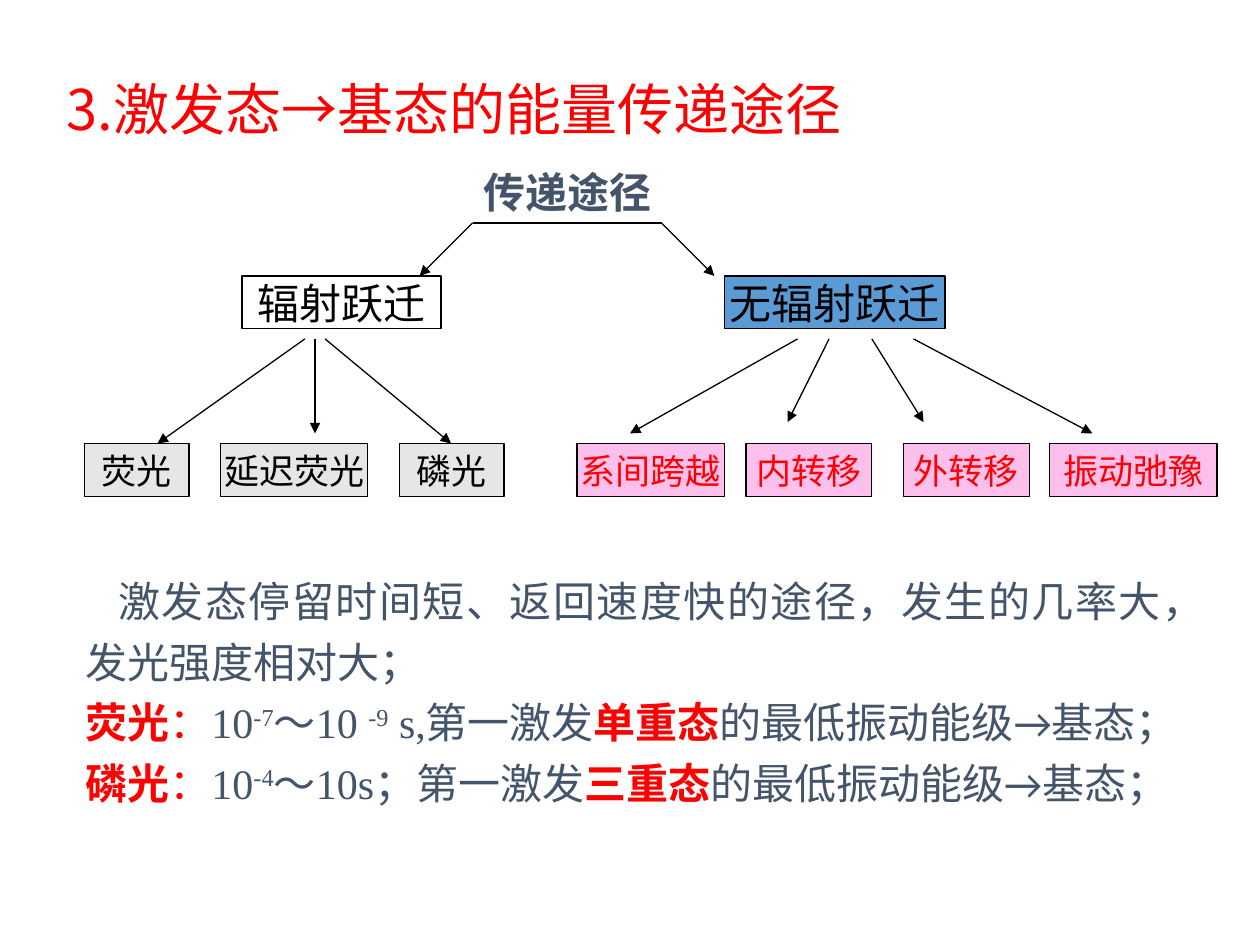
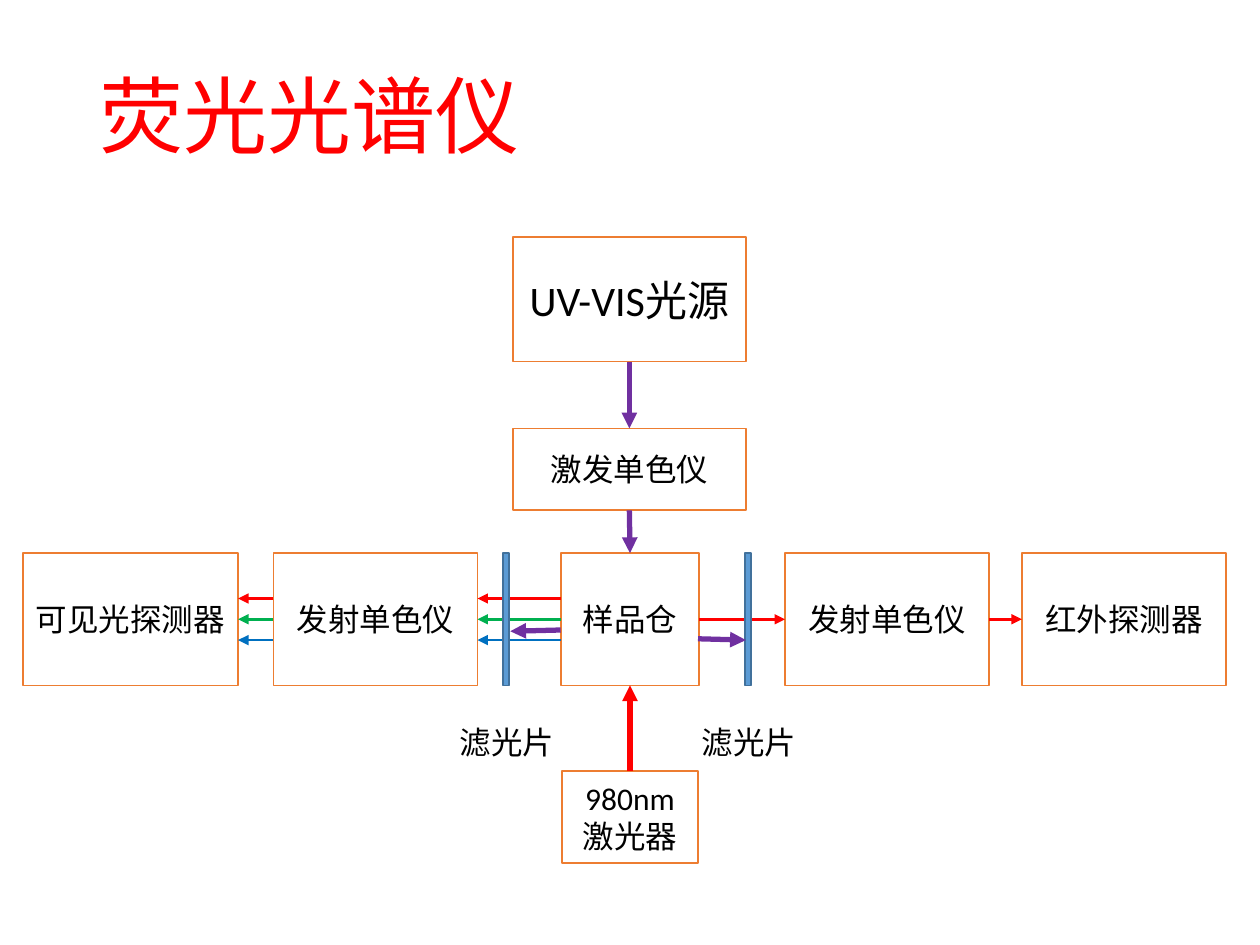
"""Build two slides on luminescence: energy transfer paths and a fluorescence spectrometer."""
from lxml import etree
from pptx import Presentation
from pptx.dml.color import RGBColor
from pptx.enum.lang import MSO_LANGUAGE_ID as LANG
from pptx.enum.shapes import MSO_CONNECTOR, MSO_SHAPE
from pptx.enum.text import MSO_ANCHOR as ANCHOR, PP_ALIGN as ALIGN
from pptx.oxml.ns import qn
from pptx.util import Inches, Pt

BLACK, WHITE, RED, SLATE = "000000", "FFFFFF", "FF0000", "44546A"
GRAY, PINK, BLUE, NAVY = "E7E6E6", "FDBFEB", "5B9BD5", "41719C"
ORANGE, PURPLE, GREEN, DEEP_BLUE = "ED7D31", "7030A0", "00B050", "0070C0"
SANS, SERIF, CJK, BODY = "Arial", "Times New Roman", "Noto Sans CJK SC", "Calibri"
TOP, LEFT, BOTTOM, RIGHT = range(4)

PATHS_TITLE = "3.激发态→基态的能量传递途径"
PATHS_ROOT = "传递途径"
BRANCH_TOP, LEAF_TOP, NODE_HEIGHT, FAN_TOP = 2.19, 3.52, 0.42, 2.69
FORK_Y = 1.77
BRANCHES = [
    {"name": "辐射跃迁", "left": 1.92, "width": 1.58, "fill": WHITE,
     "fork": (3.75, 3.33), "leaf_fill": GRAY, "leaf_color": BLACK,
     "leaves": [("荧光", 0.67, 0.83), ("延迟荧光", 1.75, 1.17), ("磷光", 3.17, 0.83)],
     "fan": [(2.42, 1.25, 3.52), (2.5, 2.5, 3.44), (2.58, 3.58, 3.52)]},
    {"name": "无辐射跃迁", "left": 5.75, "width": 1.75, "fill": BLUE,
     "fork": (5.25, 5.67), "leaf_fill": PINK, "leaf_color": RED,
     "leaves": [("系间跨越", 4.58, 1.17), ("内转移", 5.92, 1),
                ("外转移", 7.17, 1), ("振动弛豫", 8.33, 1.33)],
     "fan": [(6.33, 5, 3.44), (6.58, 6.25, 3.35), (6.92, 7.33, 3.35), (7.25, 8.67, 3.44)]},
]

KEY = {"color": RED, "bold": True}
SUP = {"font": SERIF, "sup": True}
PLAIN = {"font": SERIF}
EXPLANATION = [
    [("激发态停留时间短、返回速度快的途径，发生的几率大，", {"font": CJK}),
     ("发光强度相对大；", PLAIN)],
    [("荧光", KEY), ("：", {"color": RED}), ("10", PLAIN), ("-7", SUP), ("～10 ", PLAIN),
     ("-9", SUP), (" s,第一激发", PLAIN), ("单重态", KEY), ("的最低振动能级→基态；", PLAIN)],
    [("磷光", KEY), ("：", {"color": RED}), ("10", PLAIN), ("-4", SUP),
     ("～10s；第一激发", PLAIN), ("三重态", KEY), ("的最低振动能级→基态；", PLAIN)],
]

DEVICE_TITLE = "荧光光谱仪"
ROW_TOP, ROW_HEIGHT = 4.39, 1.05
UNITS = {
    "source": (["UV-VIS光源"], 4.07, 1.88, 1.85, 0.99, 24),
    "excitation": (["激发单色仪"], 4.07, 3.4, 1.85, 0.65, 18),
    "visible": (["可见光探测器"], 0.18, ROW_TOP, 1.71, ROW_HEIGHT, 18),
    "left_mono": (["发射单色仪"], 2.17, ROW_TOP, 1.62, ROW_HEIGHT, 18),
    "sample": (["样品仓"], 4.45, ROW_TOP, 1.1, ROW_HEIGHT, 18),
    "right_mono": (["发射单色仪"], 6.23, ROW_TOP, 1.62, ROW_HEIGHT, 18),
    "infrared": (["红外探测器"], 8.11, ROW_TOP, 1.62, ROW_HEIGHT, 18),
    "laser": (["980nm", "激光器"], 4.46, 6.12, 1.08, 0.73, 18),
}
BEAMS = [
    ("source", BOTTOM, "excitation", TOP, PURPLE, 3),
    ("excitation", BOTTOM, "sample", TOP, PURPLE, 3),
    ("laser", TOP, "sample", BOTTOM, RED, 3),
    ("sample", RIGHT, "right_mono", LEFT, RED, 1.5),
    ("right_mono", RIGHT, "infrared", LEFT, RED, 1.5),
    ("sample", LEFT, "left_mono", RIGHT, GREEN, 1.5),
    ("left_mono", LEFT, "visible", RIGHT, GREEN, 1.5),
]
SIDE_BEAMS = [(RED, 4.75), (DEEP_BLUE, 5.08)]
SIDE_SPANS = [(4.45, 3.79), (2.17, 1.89)]
FILTER_NAME = "滤光片"
FILTERS = [(3.99, 3.55), (5.91, 5.47)]
BLOCKED = [((4.45, 5), (4.05, 5.01)), ((5.54, 5.07), (5.92, 5.08))]


def rgb(value):
    return RGBColor.from_string(value)


def add_run(paragraph, text, size, font=BODY, east=BODY, color=BLACK, bold=False, sup=False):
    run = paragraph.add_run()
    run.text = text
    run.font.size, run.font.bold, run.font.name = Pt(size), bold, font
    run.font.color.rgb = rgb(color)
    run.font.language_id = LANG.SIMPLIFIED_CHINESE
    props = run._r.get_or_add_rPr()
    props.find(qn("a:latin")).addnext(props.makeelement(qn("a:ea"), {"typeface": east}))
    if sup:
        props.set("baseline", "30000")


def fill_text(shape, lines, align, anchor, wrap, spacing=None, **style):
    frame = shape.text_frame
    frame.word_wrap, frame.vertical_anchor = wrap, anchor
    for index, line in enumerate(lines):
        paragraph = frame.add_paragraph() if index else frame.paragraphs[0]
        paragraph.alignment, paragraph.line_spacing = align, spacing
        add_run(paragraph, line, **style)


def add_label(slide, text, left, top, width, height, align=ALIGN.LEFT,
              anchor=ANCHOR.TOP, wrap=False, **style):
    label = slide.shapes.add_textbox(*map(Inches, (left, top, width, height)))
    fill_text(label, [text], align, anchor, wrap, **style)


def add_title(slide, text, left, top, width, height, **style):
    add_label(slide, text, left, top, width, height, anchor=ANCHOR.MIDDLE, wrap=True,
              spacing=0.9, color=RED, **style)


def add_box(slide, lines, left, top, width, height, fill, line, weight, wrap=True, **style):
    box = slide.shapes.add_shape(MSO_SHAPE.RECTANGLE, *map(Inches, (left, top, width, height)))
    box.shadow.inherit = False
    box.fill.solid()
    box.fill.fore_color.rgb = rgb(fill)
    box.line.color.rgb = rgb(line)
    box.line.width = Pt(weight)
    fill_text(box, lines, ALIGN.CENTER, ANCHOR.MIDDLE, wrap, **style)
    return box


def add_line(slide, start, end, color=BLACK, weight=0.75, arrow=True):
    line = slide.shapes.add_connector(MSO_CONNECTOR.STRAIGHT, *map(Inches, (*start, *end)))
    line.line.color.rgb = rgb(color)
    line.line.width = Pt(weight)
    if arrow:
        etree.SubElement(line.line._get_or_add_ln(), qn("a:tailEnd"), type="triangle")
    etree.SubElement(line._element.spPr, qn("a:effectLst"))
    return line


def build_paths(slide):
    add_title(slide, PATHS_TITLE, 0.43, 0.52, 8.82, 0.75, size=32, font=CJK, east=CJK)
    add_label(slide, PATHS_ROOT, 3.67, 1.27, 1.67, 0.5, align=ALIGN.CENTER, wrap=True,
              size=24, font=SANS, color=SLATE, bold=True)
    fork_ends = [(branch["fork"][0], FORK_Y) for branch in BRANCHES]
    add_line(slide, *fork_ends, arrow=False)
    for branch, fork_end in zip(BRANCHES, fork_ends):
        add_box(slide, [branch["name"]], branch["left"], BRANCH_TOP, branch["width"],
                NODE_HEIGHT, branch["fill"], BLACK, 0.75, wrap=False, size=24, font=SANS)
        add_line(slide, fork_end, (branch["fork"][1], BRANCH_TOP))
        for name, left, width in branch["leaves"]:
            add_box(slide, [name], left, LEAF_TOP, width, NODE_HEIGHT, branch["leaf_fill"],
                    BLACK, 0.75, wrap=False, size=20, font=SANS, color=branch["leaf_color"])
        for start_x, end_x, end_y in branch["fan"]:
            add_line(slide, (start_x, FAN_TOP), (end_x, end_y))

    frame = slide.shapes.add_textbox(*map(Inches, (0.58, 4.44, 9.08, 2.02))).text_frame
    frame.word_wrap = True
    for index, runs in enumerate(EXPLANATION):
        paragraph = frame.add_paragraph() if index else frame.paragraphs[0]
        paragraph.alignment, paragraph.line_spacing = ALIGN.JUSTIFY, 1.2
        props = paragraph._p.get_or_add_pPr()
        props.set("hangingPunct", "0")
        if not index:
            props.set("indent", str(Inches(0.26)))
        for text, style in runs:
            add_run(paragraph, text, 24, **{"color": SLATE, "font": SERIF, **style})


def build_device(slide):
    add_title(slide, DEVICE_TITLE, 0.69, 0.23, 8.63, 1.45, size=48, font=SERIF)
    units = {key: add_box(slide, lines, *place, WHITE, ORANGE, 1, size=size)
             for key, (lines, *place, size) in UNITS.items()}
    for origin, exit_side, target, entry_side, color, weight in BEAMS:
        beam = add_line(slide, (0, 0), (0, 0), color, weight)
        beam.begin_connect(units[origin], exit_side)
        beam.end_connect(units[target], entry_side)
    for color, y in SIDE_BEAMS:
        for start_x, end_x in SIDE_SPANS:
            add_line(slide, (start_x, y), (end_x, y), color, 1.5)
    for plate_left, label_left in FILTERS:
        add_box(slide, [], plate_left, ROW_TOP, 0.05, ROW_HEIGHT, BLUE, NAVY, 1)
        add_label(slide, FILTER_NAME, label_left, 5.69, 0.95, 0.4, size=18)
    for start, end in BLOCKED:
        add_line(slide, start, end, PURPLE, 3)


def main():
    deck = Presentation()
    deck.slide_width, deck.slide_height = Inches(10), Inches(7.5)
    for build in (build_paths, build_device):
        build(deck.slides.add_slide(deck.slide_layouts[6]))
    deck.save("out.pptx")


if __name__ == "__main__":
    main()
